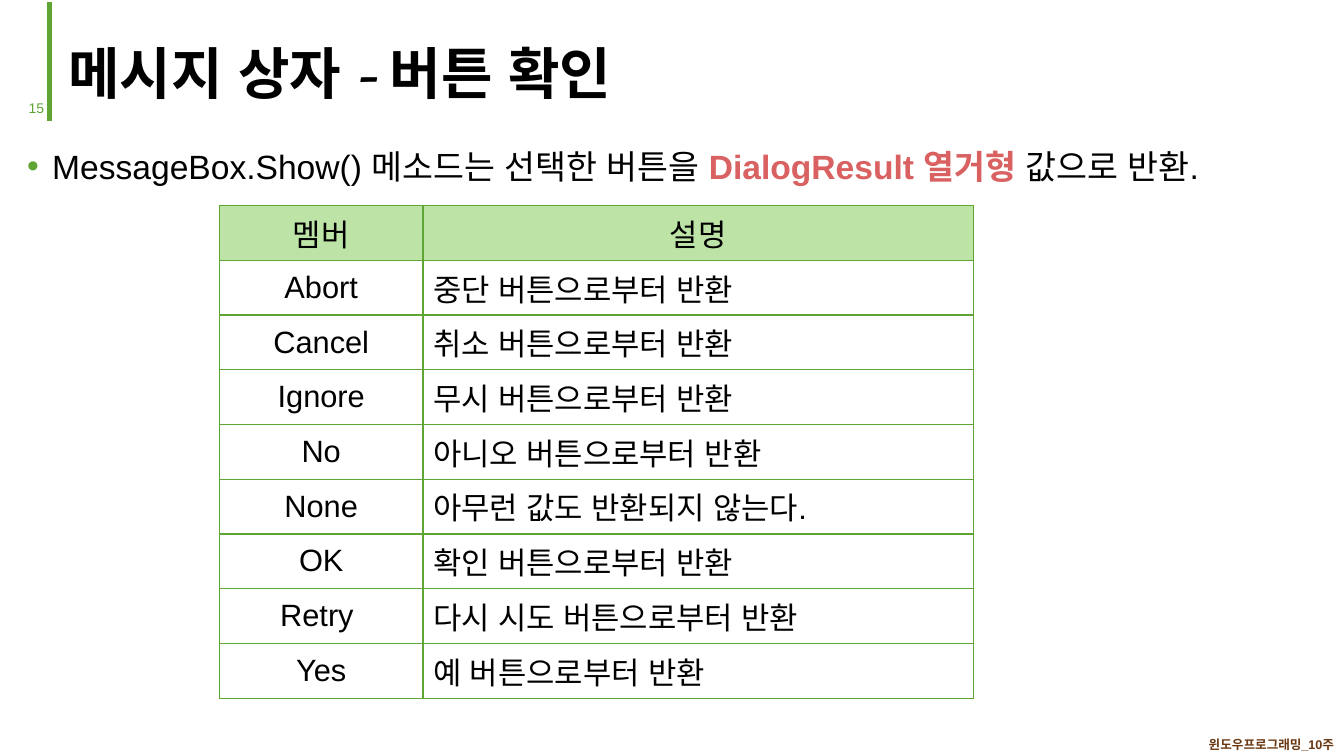
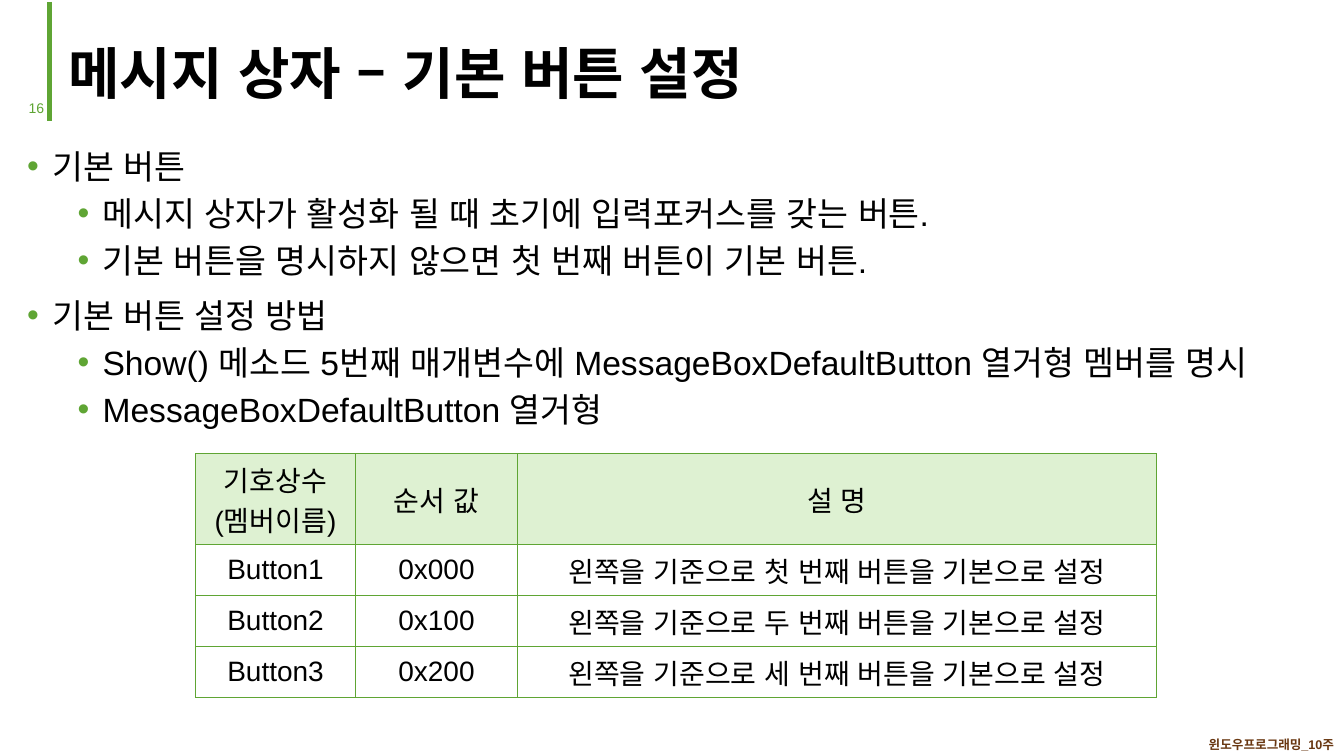
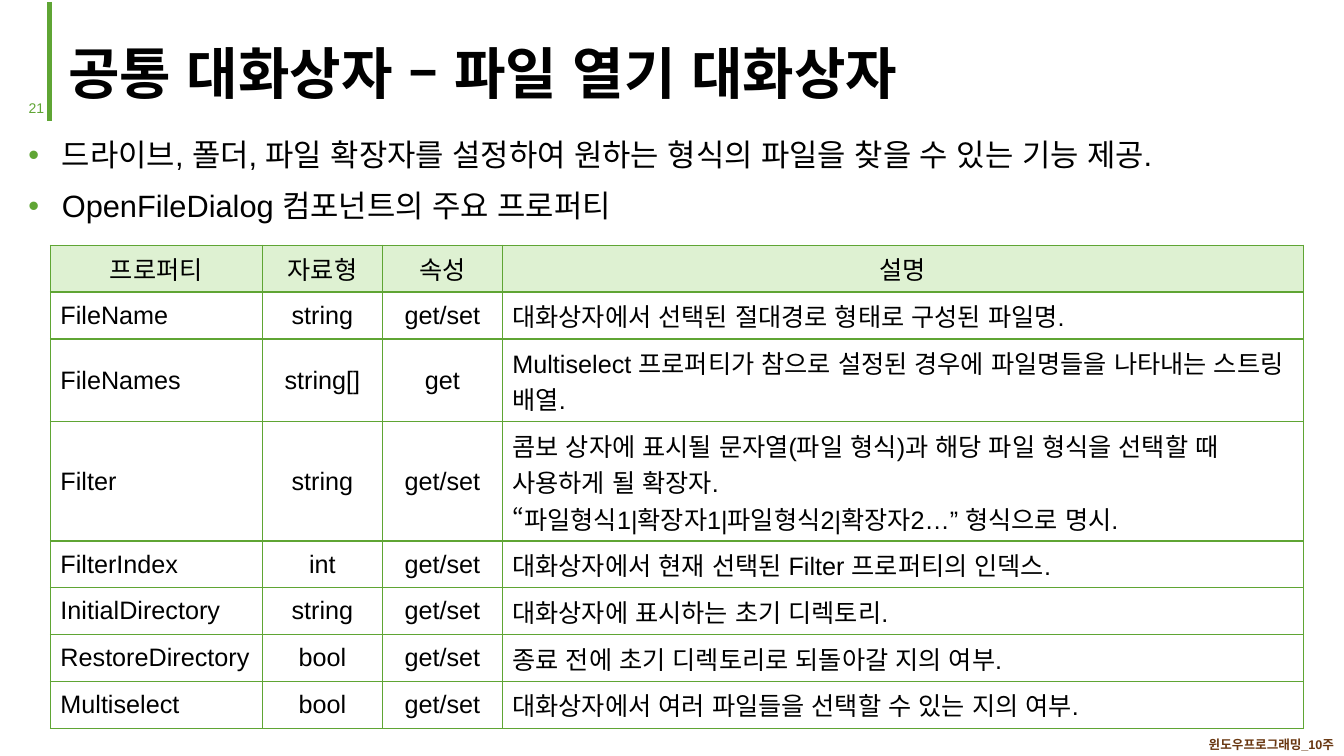
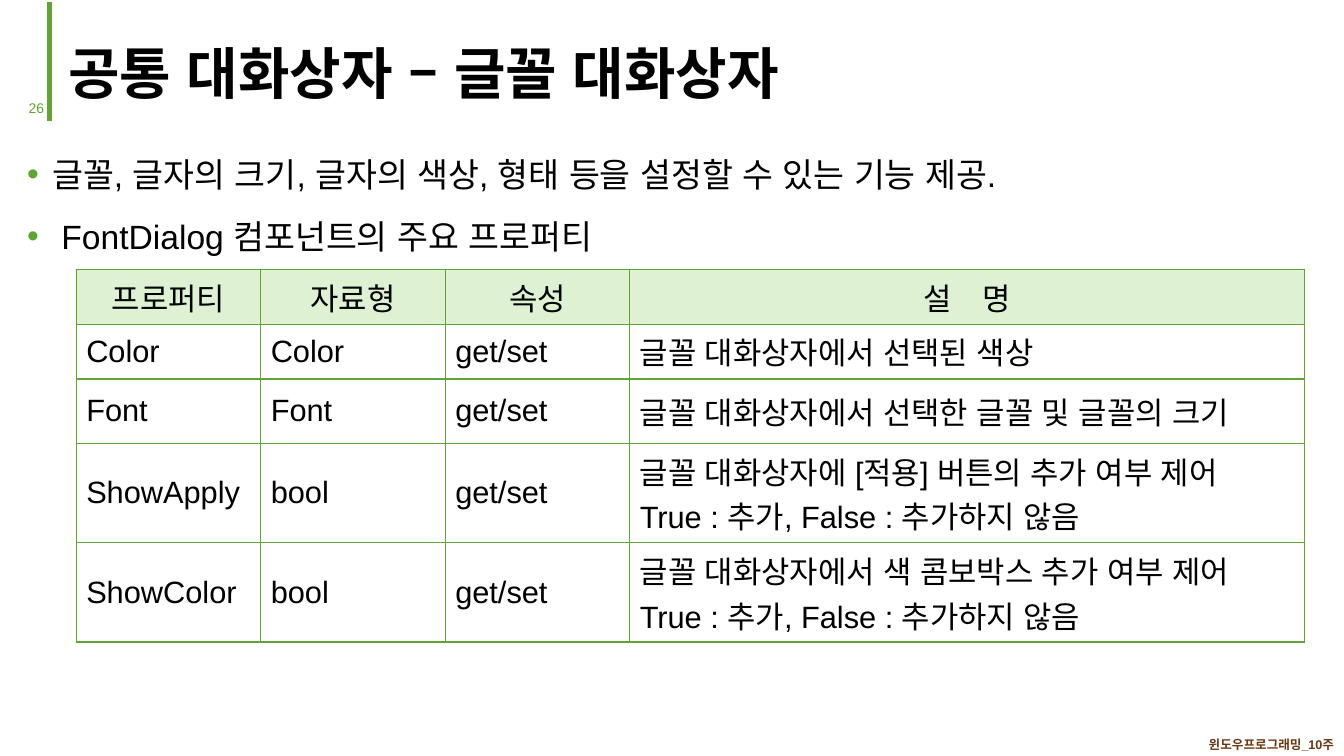
from lxml.etree import SubElement
from pptx import Presentation
from pptx.dml.color import RGBColor
from pptx.enum.lang import MSO_LANGUAGE_ID as Lang
from pptx.enum.shapes import MSO_CONNECTOR as Connector
from pptx.enum.text import MSO_ANCHOR as Anchor, MSO_AUTO_SIZE as AutoSize, PP_ALIGN as Align
from pptx.oxml.ns import qn
from pptx.util import Cm, Pt

COLORS = {
    "accent": "5FA534",
    "text": "000000",
    "emphasis": "DA6161",
    "footer": "693711",
    "header": "BDE3A6",
    "pale_header": "DEF1D2",
}
TITLE_FONT = "Vollkorn"
BODY_FONT = "Arial"
FOOTER = "윈도우프로그래밍_10주"
TITLE_BOX = (1.47, 0.28, 26.44, 2.54)
BODY_BOX = (0.43, 3.54, 33.17, 14.53)
NUMBER_BOX = (0.33, 2.39, 1.03, 0.79)
FOOTER_BOX = (20.36, 18.47, 13.51, 0.58)
BULLET_INDENT = 0.63
LEVEL_STEP = 1.27
ALIGNMENTS = {"l": Align.LEFT, "c": Align.CENTER, "r": Align.RIGHT, "j": Align.JUSTIFY}


def rgb(color):
    return RGBColor.from_string(COLORS[color])


def style_run(run, size, color="text", bold=False, font=BODY_FONT):
    run.font.name = font
    run.font.size = Pt(size)
    run.font.bold = bold
    run.font.color.rgb = rgb(color)
    run.font.language_id = Lang.KOREAN


def style_paragraphs(frame, align, size, **style):
    for paragraph in frame.paragraphs:
        paragraph.alignment = ALIGNMENTS[align]
        for run in paragraph.runs:
            style_run(run, size, **style)


def place(shape, box):
    shape.left, shape.top, shape.width, shape.height = map(Cm, box)


def prepare_layout(prs):
    layout = prs.slide_layouts[1]
    place(layout.placeholders[0], TITLE_BOX)
    place(layout.placeholders[1], BODY_BOX)
    return layout


def add_master_bar(prs, slide):
    bar = slide.shapes.add_connector(Connector.STRAIGHT, Cm(1.25), Cm(0.05), Cm(1.25), Cm(3.05))
    bar.line.color.rgb = rgb("accent")
    bar.line.width = Pt(3)
    SubElement(bar.element.spPr, qn("a:effectLst"))
    prs.slide_master.element.cSld.spTree.append(bar.element)


def add_label(slide, text, box, size, anchor=Anchor.TOP, **style):
    label = slide.shapes.add_textbox(*map(Cm, box))
    frame = label.text_frame
    frame.word_wrap = True
    frame.vertical_anchor = anchor
    frame.text = text
    style_paragraphs(frame, "r", size, **style)


def set_bullet(paragraph, level):
    properties = paragraph._p.get_or_add_pPr()
    properties.set("marL", str(Cm(BULLET_INDENT + level * LEVEL_STEP)))
    properties.set("indent", str(-Cm(BULLET_INDENT)))
    color = SubElement(properties, qn("a:buClr"))
    SubElement(color, qn("a:srgbClr"), val=COLORS["accent"])
    SubElement(properties, qn("a:buFont"), typeface=BODY_FONT)
    SubElement(properties, qn("a:buChar"), char="•")


def fill_title(slide, text):
    frame = slide.shapes.title.text_frame
    frame.auto_size = AutoSize.NONE
    frame.vertical_anchor = Anchor.BOTTOM
    frame.text = text
    frame.paragraphs[0].line_spacing = 0.9
    style_paragraphs(frame, "l", 40, bold=True, font=TITLE_FONT)


def fill_bullets(slide, items, size=24, align="l", line_spacing=1.0):
    frame = slide.placeholders[1].text_frame
    frame.auto_size = AutoSize.NONE
    for index, (level, *segments) in enumerate(items):
        paragraph = frame.add_paragraph() if index else frame.paragraphs[0]
        paragraph.level = level
        paragraph.alignment = ALIGNMENTS[align]
        paragraph.line_spacing = line_spacing
        paragraph.space_before = Pt(5 if level else 10)
        set_bullet(paragraph, level)
        for position, segment in enumerate(segments):
            run = paragraph.add_run()
            run.text = segment
            emphasised = position % 2 == 1
            style_run(run, size, "emphasis" if emphasised else "text", emphasised)


def set_borders(cell):
    properties = cell._tc.get_or_add_tcPr()
    for side in ("lnL", "lnR", "lnT", "lnB"):
        border = SubElement(properties, qn(f"a:{side}"), w=str(Pt(1)))
        fill = SubElement(border, qn("a:solidFill"))
        SubElement(fill, qn("a:srgbClr"), val=COLORS["accent"])


def add_grid(slide, origin, widths, heights, rows, aligns, size, header="pale_header"):
    left, top = map(Cm, origin)
    frame = slide.shapes.add_table(len(rows), len(widths), left, top,
                                   Cm(sum(widths)), Cm(sum(heights)))
    table = frame.table
    for column, width in zip(table.columns, widths):
        column.width = Cm(width)
    for row, height in zip(table.rows, heights):
        row.height = Cm(height)
    for r, texts in enumerate(rows):
        for c, text in enumerate(texts):
            cell = table.cell(r, c)
            cell.text_frame.text = text
            cell.vertical_anchor = Anchor.MIDDLE
            set_borders(cell)
            if r == 0:
                cell.fill.solid()
                cell.fill.fore_color.rgb = rgb(header)
            else:
                cell.fill.background()
            style_paragraphs(cell.text_frame, aligns[c] if r else "c", size)


def add_page(prs, layout, number, title):
    slide = prs.slides.add_slide(layout)
    fill_title(slide, title)
    add_label(slide, str(number), NUMBER_BOX, 10, color="accent")
    add_label(slide, FOOTER, FOOTER_BOX, 9, Anchor.MIDDLE, color="footer", bold=True)
    return slide


def build_button_results(prs, layout):
    slide = add_page(prs, layout, 15, "메시지 상자 - 버튼 확인")
    fill_bullets(slide, [
        (0, "MessageBox.Show() 메소드는 선택한 버튼을 ", "DialogResult 열거형 ", "값으로 반환."),
    ], align="j")
    members = [
        ("멤버", "설명"),
        ("Abort", "중단 버튼으로부터 반환"),
        ("Cancel", "취소 버튼으로부터 반환"),
        ("Ignore", "무시 버튼으로부터 반환"),
        ("No", "아니오 버튼으로부터 반환"),
        ("None", "아무런 값도 반환되지 않는다."),
        ("OK", "확인 버튼으로부터 반환"),
        ("Retry ", "다시 시도 버튼으로부터 반환"),
        ("Yes", "예 버튼으로부터 반환"),
    ]
    add_grid(slide, (5.53, 5.18), (5.13, 13.87), [1.38] * len(members),
             members, "cj", 22, "header")
    return slide


def build_default_button(prs, layout):
    slide = add_page(prs, layout, 16, "메시지 상자 – 기본 버튼 설정")
    fill_bullets(slide, [
        (0, "기본 버튼"),
        (1, "메시지 상자가 활성화 될 때 초기에 입력포커스를 갖는 버튼."),
        (1, "기본 버튼을 명시하지 않으면 첫 번째 버튼이 기본 버튼."),
        (0, "기본 버튼 설정 방법"),
        (1, "Show() 메소드 5번째 매개변수에 MessageBoxDefaultButton 열거형 멤버를 명시"),
        (1, "MessageBoxDefaultButton 열거형"),
    ])
    constants = [("기호상수(멤버이름)", "순서 값", "설 명")]
    for number, ordinal in enumerate(("첫", "두", "세")):
        constants.append((f"Button{number + 1}", f"0x{number}00",
                          f"왼쪽을 기준으로 {ordinal} 번째 버튼을 기본으로 설정"))
    add_grid(slide, (4.93, 11.43), (4.03, 4.08, 16.11), [2.3] + [1.28] * 3,
             constants, "ccc", 20)


def build_file_dialog(prs, layout):
    slide = add_page(prs, layout, 21, "공통 대화상자 – 파일 열기 대화상자")
    place(slide.placeholders[1], (0.46, 3.3, 33.17, 14.53))
    fill_bullets(slide, [
        (0, " 드라이브, 폴더, 파일 확장자를 설정하여 원하는 형식의 파일을 찾을 수 있는 기능 제공."),
        (0, " OpenFileDialog 컴포넌트의 주요 프로퍼티"),
    ], size=22)
    properties = [
        ("프로퍼티", "자료형", "속성", "설명"),
        ("FileName", "string", "get/set", "대화상자에서 선택된 절대경로 형태로 구성된 파일명."),
        ("FileNames", "string[]", "get",
         "Multiselect 프로퍼티가 참으로 설정된 경우에 파일명들을 나타내는 스트링 배열."),
        ("Filter", "string", "get/set",
         "콤보 상자에 표시될 문자열(파일 형식)과 해당 파일 형식을 선택할 때 사용하게 될 확장자.\n"
         "“파일형식1|확장자1|파일형식2|확장자2…” 형식으로 명시."),
        ("FilterIndex", "int", "get/set", "대화상자에서 현재 선택된 Filter 프로퍼티의 인덱스."),
        ("InitialDirectory", "string", "get/set", "대화상자에 표시하는 초기 디렉토리."),
        ("RestoreDirectory", "bool", "get/set", "종료 전에 초기 디렉토리로 되돌아갈 지의 여부."),
        ("Multiselect", "bool", "get/set", "대화상자에서 여러 파일들을 선택할 수 있는 지의 여부."),
    ]
    add_grid(slide, (1.27, 6.18), (5.34, 3.03, 3.02, 20.18),
             [1.18, 1.18, 2.09, 3] + [1.18] * 4, properties, "lccl", 18)


def build_font_dialog(prs, layout):
    slide = add_page(prs, layout, 26, "공통 대화상자 – 글꼴 대화상자")
    fill_bullets(slide, [
        (0, "글꼴, 글자의 크기, 글자의 색상, 형태 등을 설정할 수 있는 기능 제공."),
        (0, " FontDialog 컴포넌트의 주요 프로퍼티"),
    ], line_spacing=1.2)
    choices = "True : 추가, False : 추가하지 않음"
    properties = [
        ("프로퍼티", "자료형", "속성", "설　명"),
        ("Color", "Color", "get/set", "글꼴 대화상자에서 선택된 색상"),
        ("Font", "Font", "get/set", "글꼴 대화상자에서 선택한 글꼴 및 글꼴의 크기"),
        ("ShowApply", "bool", "get/set",
         f"글꼴 대화상자에 [적용] 버튼의 추가 여부 제어\n{choices}"),
        ("ShowColor", "bool", "get/set",
         f"글꼴 대화상자에서 색 콤보박스 추가 여부 제어\n{choices}"),
    ]
    add_grid(slide, (1.92, 6.79), [4.65] * 3 + [17.01],
             (1.38, 1.38, 1.63, 2.5, 2.5), properties, "llll", 22)


def main():
    prs = Presentation()
    prs.slide_width, prs.slide_height = Cm(33.87), Cm(19.05)
    layout = prepare_layout(prs)
    first_slide = build_button_results(prs, layout)
    add_master_bar(prs, first_slide)
    build_default_button(prs, layout)
    build_file_dialog(prs, layout)
    build_font_dialog(prs, layout)
    prs.save("out.pptx")


if __name__ == "__main__":
    main()
